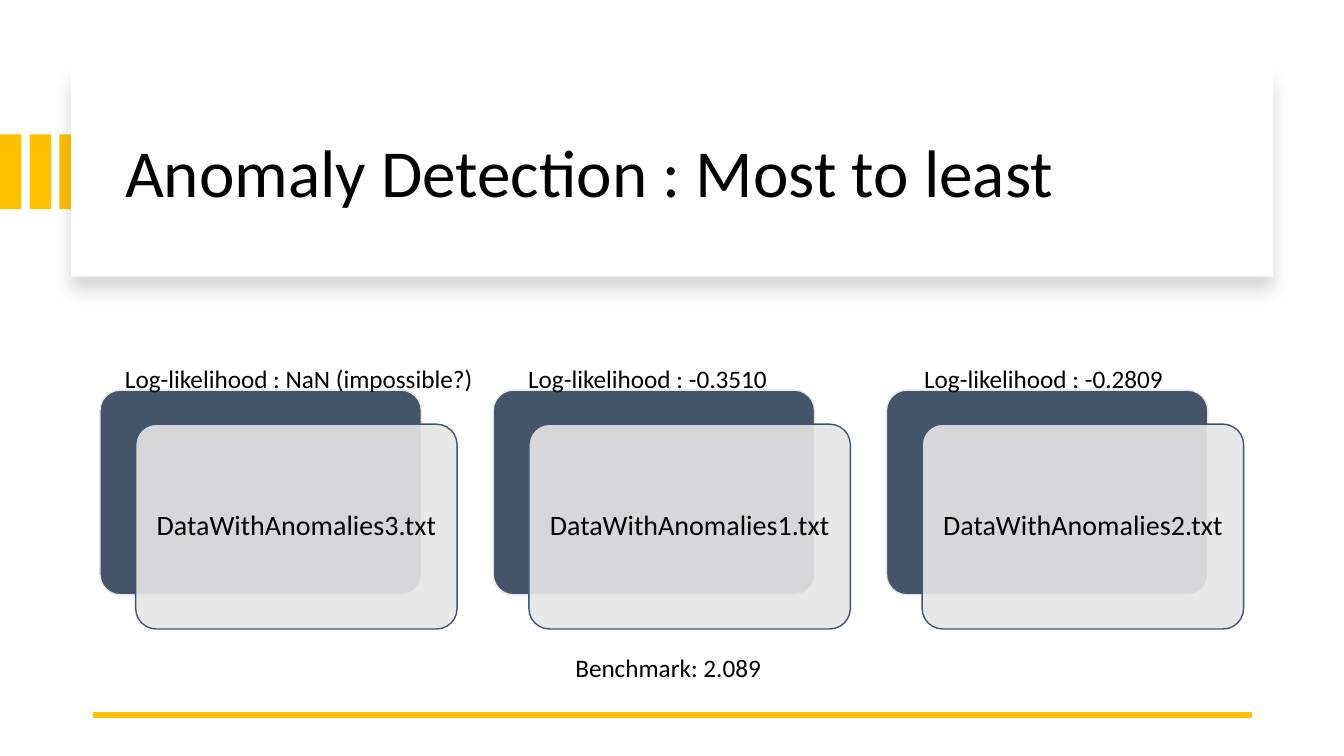
"""Build the slide that ranks three data files from most to least anomalous."""
from lxml.etree import SubElement
from pptx import Presentation
from pptx.dml.color import RGBColor
from pptx.enum.shapes import MSO_CONNECTOR, MSO_SHAPE
from pptx.enum.text import MSO_ANCHOR, MSO_AUTO_SIZE, PP_ALIGN
from pptx.oxml import parse_xml
from pptx.oxml.ns import nsdecls, qn
from pptx.util import Cm, Pt

rgb = RGBColor.from_string
GOLD, NAVY, PALE, WHITE, BLACK = "FFC000", "44546A", "E7E6E6", "FFFFFF", "000000"


def add_panel(kind, left, top, width, height, fill, outline=None):
    panel = slide.shapes.add_shape(kind, Cm(left), Cm(top), Cm(width), Cm(height))
    panel.shadow.inherit = False
    panel.fill.solid()
    panel.fill.fore_color.rgb = rgb(fill)
    if outline:
        panel.line.color.rgb = rgb(outline)
        panel.line.width = Pt(1)
    else:
        panel.line.fill.background()
    return panel


def write(frame, text, size, align=PP_ALIGN.LEFT, spacing=None):
    paragraph = frame.paragraphs[0]
    paragraph.alignment = align
    paragraph.line_spacing = spacing
    run = paragraph.add_run()
    run.text = text
    run.font.name = "Calibri"
    run.font.size = Pt(size)
    run.font.color.rgb = rgb(BLACK)


deck = Presentation()
deck.slide_width, deck.slide_height = Cm(33.87), Cm(19.05)
slide = deck.slides.add_slide(deck.slide_layouts[5])

for bar in range(3):
    add_panel(MSO_SHAPE.RECTANGLE, bar * 0.75, 3.39, 0.54, 1.88, GOLD)

banner = add_panel(MSO_SHAPE.RECTANGLE, 1.79, 1.7, 30.3, 5.27, WHITE)
banner_effects = banner._element.spPr.find(qn("a:effectLst"))
banner_effects.append(parse_xml(
    f'<a:outerShdw {nsdecls("a")} blurRad="{Pt(11)}" dist="{Pt(10)}" dir="5400000" '
    f'rotWithShape="0"><a:srgbClr val="{BLACK}"><a:alpha val="15000"/></a:srgbClr></a:outerShdw>'))

title = slide.shapes.title
title.left, title.top, title.width, title.height = Cm(2.9), Cm(2.26), Cm(28.27), Cm(4.32)
title.text_frame.auto_size = MSO_AUTO_SIZE.NONE
title.text_frame.vertical_anchor = MSO_ANCHOR.MIDDLE
write(title.text_frame, "Anomaly Detection : Most to least", 48, spacing=0.9)
slide.shapes._spTree.append(title._element)

footer_rule = slide.shapes.add_connector(
    MSO_CONNECTOR.STRAIGHT, Cm(31.55), Cm(18.01), Cm(2.34), Cm(18.01))
footer_rule.line.color.rgb = rgb(GOLD)
footer_rule.line.width = Pt(4.5)
SubElement(footer_rule._element.spPr, qn("a:effectLst"))

files = ["DataWithAnomalies3.txt", "DataWithAnomalies1.txt", "DataWithAnomalies2.txt"]
for rank, file_name in enumerate(files):
    left = 2.52 + rank * 9.91
    backing = add_panel(MSO_SHAPE.ROUNDED_RECTANGLE, left, 9.83, 8.1, 5.16, NAVY, PALE)
    backing.adjustments[0] = 0.1
    card = add_panel(MSO_SHAPE.ROUNDED_RECTANGLE, left + 0.9, 10.69, 8.1, 5.16, PALE, NAVY)
    card.adjustments[0] = 0.1
    card_color = card._element.spPr.find(qn("a:solidFill"))[0]
    SubElement(card_color, qn("a:alpha"), val="90000")
    frame = card.text_frame
    frame.margin_left = frame.margin_right = frame.margin_top = frame.margin_bottom = Cm(0.2)
    frame.vertical_anchor = MSO_ANCHOR.MIDDLE
    frame.word_wrap = True
    write(frame, file_name, 20, PP_ALIGN.CENTER, 0.9)

captions = [
    ("Log-likelihood : NaN (impossible?)", 2.9, 9.02, 9.37, False),
    ("Log-likelihood : -0.3510", 13.06, 9.02, 6.6, False),
    ("Log-likelihood : -0.2809", 23.04, 9.02, 6.6, False),
    ("Benchmark: 2.089", 14.25, 16.31, 5.56, True),
]
for text, left, top, width, wraps in captions:
    caption = slide.shapes.add_textbox(Cm(left), Cm(top), Cm(width), Cm(1.03))
    caption.text_frame.word_wrap = wraps
    caption.text_frame.auto_size = MSO_AUTO_SIZE.SHAPE_TO_FIT_TEXT
    write(caption.text_frame, text, 18)

deck.save("out.pptx")
